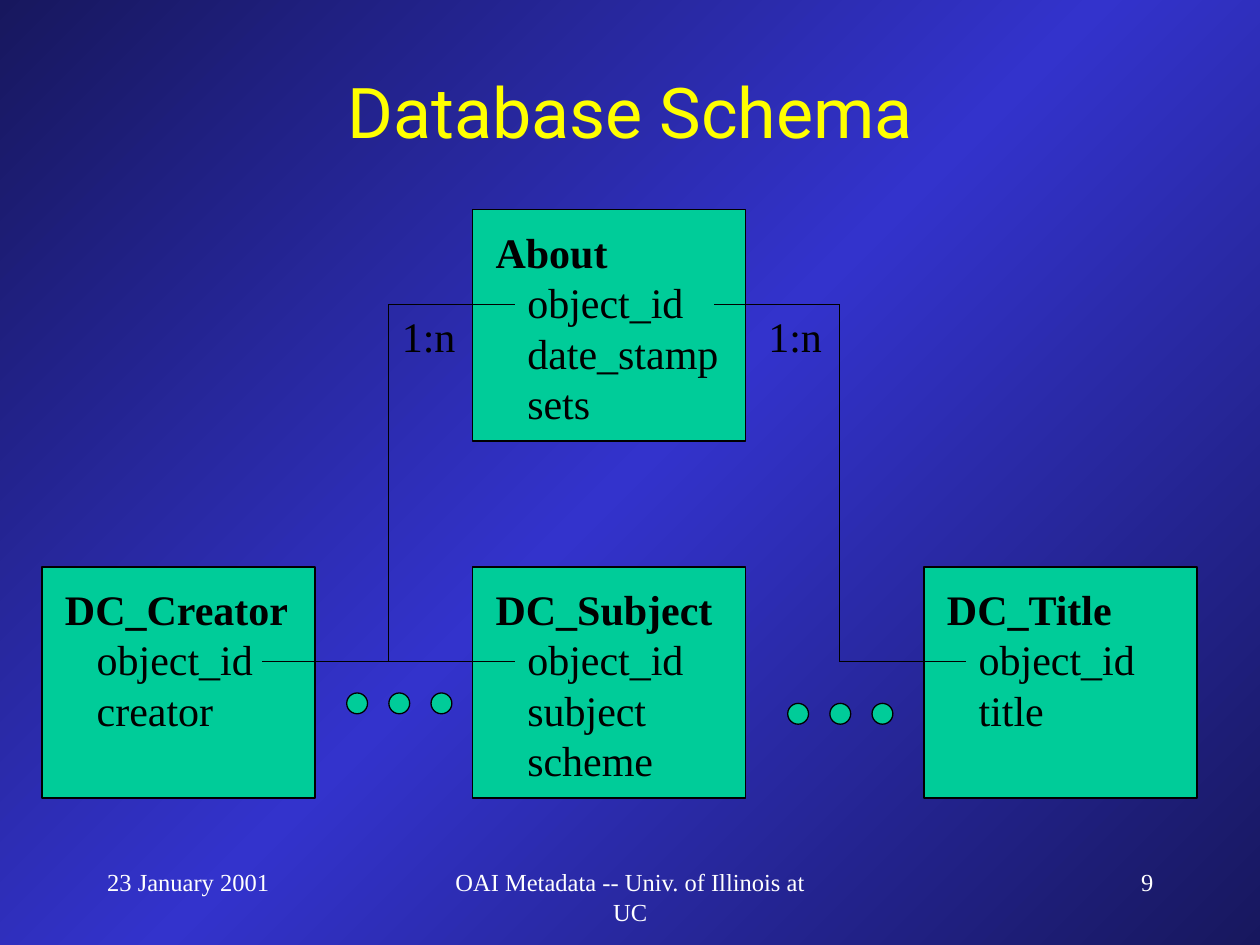
from copy import deepcopy

from lxml import etree
from pptx import Presentation
from pptx.dml.color import RGBColor
from pptx.enum.shapes import MSO_CONNECTOR, MSO_SHAPE
from pptx.enum.text import MSO_ANCHOR, MSO_AUTO_SIZE, PP_ALIGN
from pptx.oxml.ns import qn
from pptx.util import Cm, Pt

NAVY = RGBColor(0x17, 0x17, 0x5E)
BLUE = RGBColor(0x33, 0x33, 0xCC)
GREEN = RGBColor(0x00, 0xCC, 0x99)
YELLOW = RGBColor(0xFF, 0xFF, 0x00)
BLACK = RGBColor(0x00, 0x00, 0x00)
WHITE = RGBColor(0xFF, 0xFF, 0xFF)

RECTANGLE = MSO_SHAPE.RECTANGLE
OVAL = MSO_SHAPE.OVAL
STRAIGHT = MSO_CONNECTOR.STRAIGHT
FIT_SHAPE = MSO_AUTO_SIZE.SHAPE_TO_FIT_TEXT
MIDDLE = MSO_ANCHOR.MIDDLE
LEFT, CENTER, RIGHT = PP_ALIGN.LEFT, PP_ALIGN.CENTER, PP_ALIGN.RIGHT

BODY_FONT = "Times New Roman"
TITLE_FONT = "Roboto"
LINE_WIDTH = Pt(0.75)

TABLE_WIDTH, TABLE_HEIGHT = Cm(5.5), Cm(4.66)
TABLE_PADDING = Cm(0.21)
TEXT_WIDTH = Cm(5.08)
TEXT_LINE = Cm(1.02)
FIELD_INDENT = Cm(0.64)
KEY_OFFSET = Cm(1.91)
KEY_LEFT = Cm(0.85)
DOT_SIZE, DOT_PITCH = Cm(0.42), Cm(0.85)

ABOUT_LEFT, ABOUT_TOP = Cm(9.53), Cm(4.23)
ROW_TOP = Cm(11.43)
CREATOR_LEFT, SUBJECT_LEFT, TITLE_LEFT = Cm(0.85), ABOUT_LEFT, Cm(18.63)
LEFT_SPINE, RIGHT_SPINE = Cm(7.83), Cm(16.93)


def paint_background(slide):
    fill = slide.background.fill
    fill.gradient()
    stop_list = slide.element.find(".//" + qn("a:gsLst"))
    stop_list.append(deepcopy(stop_list[0]))
    stops = zip(fill.gradient_stops, (0, 0.5, 1), (NAVY, BLUE, NAVY))
    for stop, position, color in stops:
        stop.position = position
        stop.color.rgb = color
    fill.gradient_angle = 135


def style_paragraph(paragraph, size, color, name=BODY_FONT, bold=False):
    font = paragraph.font
    font.name, font.size, font.bold = name, Pt(size), bold
    font.color.rgb = color


def add_title(slide, left, top, width, height):
    title = slide.shapes.title
    title.left, title.top, title.width, title.height = left, top, width, height
    title.text_frame.text = "Database Schema"
    title.text_frame.vertical_anchor = MIDDLE
    paragraph = title.text_frame.paragraphs[0]
    paragraph.alignment = CENTER
    style_paragraph(paragraph, 40, YELLOW, TITLE_FONT)


def add_filled_shape(shapes, kind, left, top, width, height):
    shape = shapes.add_shape(kind, left, top, width, height)
    shape.shadow.inherit = False
    shape.fill.solid()
    shape.fill.fore_color.rgb = GREEN
    shape.line.color.rgb = BLACK
    shape.line.width = LINE_WIDTH


def add_schema_table(slide, left, top, name, fields):
    shapes = slide.shapes.add_group_shape().shapes
    add_filled_shape(shapes, RECTANGLE, left, top, TABLE_WIDTH, TABLE_HEIGHT)
    height = Cm(0.25) + TEXT_LINE * (len(fields) + 1)
    text_box = shapes.add_textbox(
        left + TABLE_PADDING, top + TABLE_PADDING, TEXT_WIDTH, height)
    frame = text_box.text_frame
    frame.word_wrap = True
    frame.auto_size = FIT_SHAPE
    frame.text = "\n".join([name, *fields])
    heading, *rows = frame.paragraphs
    style_paragraph(heading, 24, BLACK, bold=True)
    for row in rows:
        style_paragraph(row, 24, BLACK)
        row._p.get_or_add_pPr().set("marL", str(FIELD_INDENT))


def add_dots(slide, left, top):
    shapes = slide.shapes.add_group_shape().shapes
    for index in range(3):
        add_filled_shape(
            shapes, OVAL, left + index * DOT_PITCH, top, DOT_SIZE, DOT_SIZE)


def add_path(slide, *points):
    for start, end in zip(points, points[1:]):
        line = slide.shapes.add_connector(STRAIGHT, *start, *end)
        line.line.color.rgb = BLACK
        line.line.width = LINE_WIDTH
        etree.SubElement(line._element.spPr, qn("a:effectLst"))


def add_links(slide):
    about_y = ABOUT_TOP + KEY_OFFSET
    row_y = ROW_TOP + KEY_OFFSET
    add_path(slide,
             (ABOUT_LEFT + KEY_LEFT, about_y),
             (LEFT_SPINE, about_y),
             (LEFT_SPINE, row_y))
    add_path(slide,
             (ABOUT_LEFT + Cm(4.87), about_y),
             (RIGHT_SPINE, about_y),
             (RIGHT_SPINE, row_y),
             (TITLE_LEFT + KEY_LEFT, row_y))
    add_path(slide,
             (SUBJECT_LEFT + KEY_LEFT, row_y),
             (CREATOR_LEFT + Cm(4.44), row_y))


def add_label(slide, left, top, width, text, size, color, alignment=LEFT):
    text_box = slide.shapes.add_textbox(left, top, width, Cm(1.27))
    frame = text_box.text_frame
    frame.word_wrap = True
    frame.text = text
    paragraph = frame.paragraphs[0]
    paragraph.alignment = alignment
    style_paragraph(paragraph, size, color)


def add_footer(slide, top):
    parts = (
        (Cm(8.68), Cm(8.05), "OAI Metadata -- Univ. of Illinois at UC", CENTER),
        (Cm(18.21), Cm(5.29), "9", RIGHT),
        (Cm(1.91), Cm(5.29), "23 January 2001", LEFT),
    )
    for left, width, text, alignment in parts:
        add_label(slide, left, top, width, text, 14, WHITE, alignment)


def main():
    presentation = Presentation()
    presentation.slide_width, presentation.slide_height = Cm(25.4), Cm(19.05)
    slide = presentation.slides.add_slide(presentation.slide_layouts[5])
    paint_background(slide)
    add_title(slide, Cm(1.91), Cm(1.06), Cm(21.59), Cm(2.33))

    tables = (
        (ABOUT_LEFT, ABOUT_TOP, "About", ("object_id", "date_stamp", "sets")),
        (CREATOR_LEFT, ROW_TOP, "DC_Creator", ("object_id", "creator")),
        (TITLE_LEFT, ROW_TOP, "DC_Title", ("object_id", "title")),
        (SUBJECT_LEFT, ROW_TOP, "DC_Subject", ("object_id", "subject", "scheme")),
    )
    for table in tables:
        add_schema_table(slide, *table)

    add_links(slide)
    add_dots(slide, Cm(15.88), Cm(14.18))
    add_dots(slide, Cm(6.99), Cm(13.97))
    for left in (Cm(7.85), Cm(15.24)):
        add_label(slide, left, Cm(6.14), Cm(1.69), "1:n", 24, BLACK)
    add_footer(slide, Cm(17.36))
    presentation.save("out.pptx")


if __name__ == "__main__":
    main()
